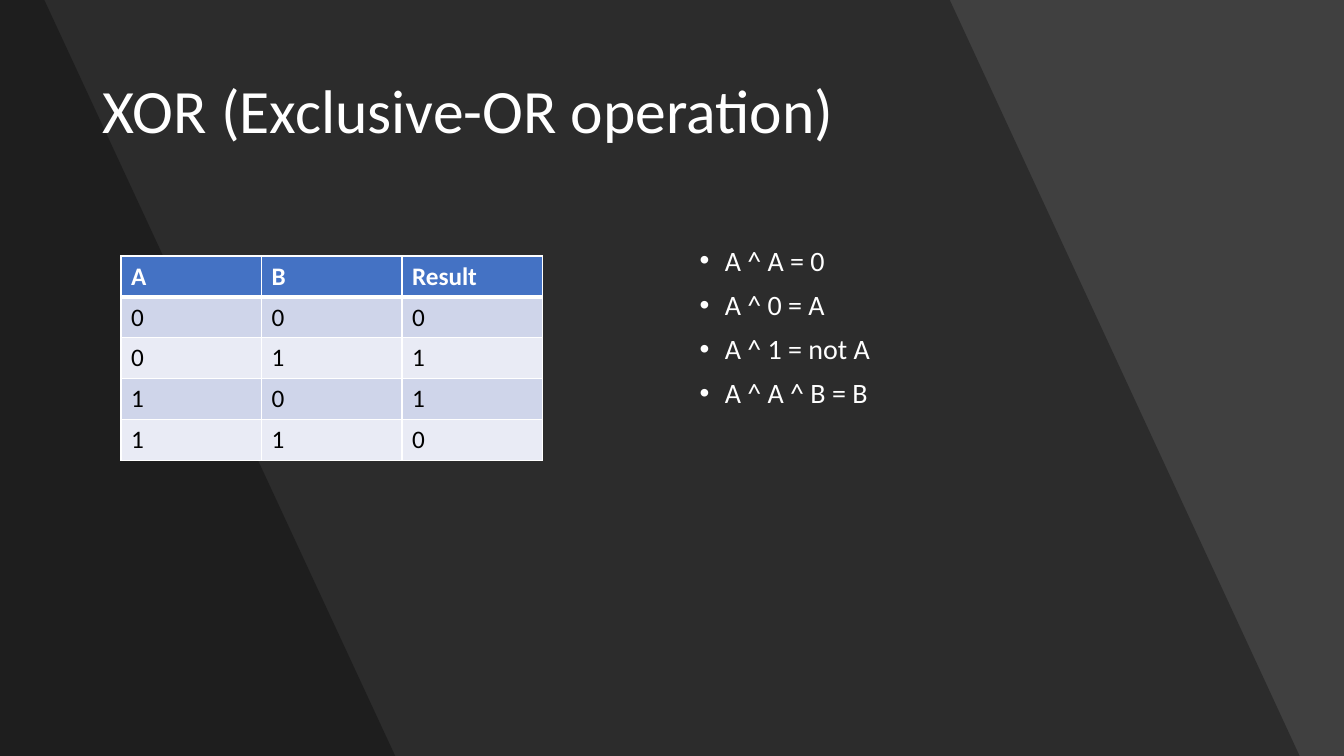
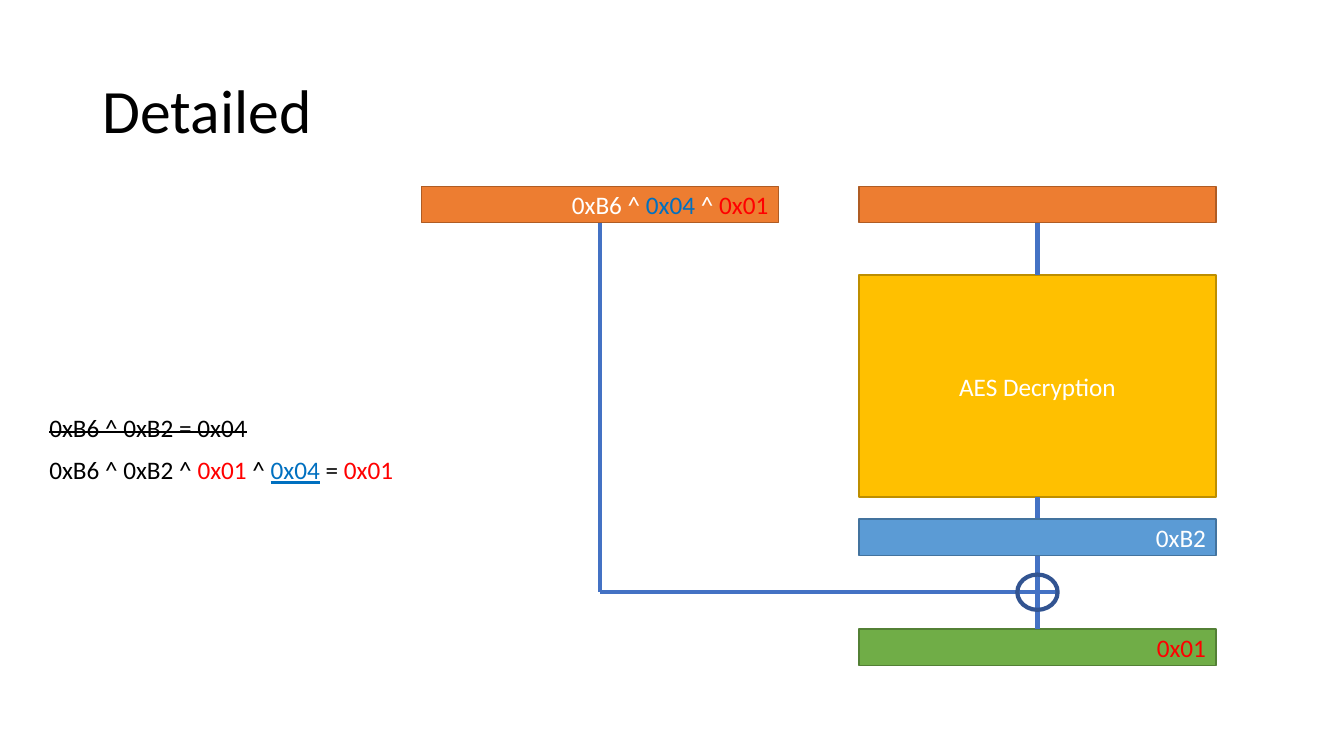
from lxml import etree
from pptx import Presentation
from pptx.dml.color import RGBColor
from pptx.enum.shapes import MSO_CONNECTOR, MSO_SHAPE
from pptx.enum.text import MSO_ANCHOR, MSO_AUTO_SIZE, PP_ALIGN
from pptx.oxml.ns import qn
from pptx.util import Inches, Pt

FONT = "Calibri"
WHITE = RGBColor(0xFF, 0xFF, 0xFF)
BLACK = RGBColor(0, 0, 0)
CHARCOAL = RGBColor(0x40, 0x40, 0x40)
RED = RGBColor(0xFF, 0, 0)
BLUE = RGBColor(0, 0x70, 0xC0)
WIRE = RGBColor(0x44, 0x72, 0xC4)
XOR_RING = RGBColor(0x32, 0x54, 0x91)
HEADER = WIRE
BANDS = (RGBColor(0xCF, 0xD5, 0xEA), RGBColor(0xE9, 0xEB, 0xF5))
# (fill, outline) pairs
ORANGE = (RGBColor(0xED, 0x7D, 0x31), RGBColor(0xAF, 0x5C, 0x24))
YELLOW = (RGBColor(0xFF, 0xC0, 0), RGBColor(0xBD, 0x8E, 0))
SKY = (RGBColor(0x5B, 0x9B, 0xD5), RGBColor(0x43, 0x73, 0x9E))
GREEN = (RGBColor(0x70, 0xAD, 0x47), RGBColor(0x53, 0x80, 0x35))

SLIDE_W, SLIDE_H = 13.33, 7.5
BAR_W, BAR_H = 3.54, 0.36
PREVIOUS_X, CURRENT_X = 4.18, 8.52
XOR_Y = 5.87


def add_sub(parent, tag, **attributes):
    return etree.SubElement(parent, qn(tag), attributes)


def add_runs(paragraph, runs, size=18):
    """Each run is (text, colour) or (text, colour, extra run attributes)."""
    for text, colour, *extras in runs:
        run = paragraph.add_run()
        run.text = text
        run.font.name = FONT
        run.font.size = Pt(size)
        run.font.color.rgb = colour
        for name, value in (extras[0] if extras else {}).items():
            run._r.get_or_add_rPr().set(name, value)


def add_textbox(slide, left, top, width, height, wrap=True):
    frame = slide.shapes.add_textbox(
        Inches(left), Inches(top), Inches(width), Inches(height)).text_frame
    frame.word_wrap = wrap
    return frame


def add_slide(prs, title, background, title_colour, bands=()):
    """Bands are (top width, bottom width) of the slanted shades at the left."""
    slide = prs.slides.add_slide(prs.slide_layouts[6])
    slide.background.fill.solid()
    slide.background.fill.fore_color.rgb = background
    for top_width, bottom_width in bands:
        add_band(slide, top_width, bottom_width)
    frame = add_textbox(slide, 0.92, 0.4, 11.5, 1.45)
    frame.vertical_anchor = MSO_ANCHOR.MIDDLE
    frame.paragraphs[0].line_spacing = 0.9
    add_runs(frame.paragraphs[0], [(title, title_colour)], size=44)
    return slide


def add_band(slide, top_width, bottom_width):
    outline = slide.shapes.build_freeform(0, 0)
    outline.add_line_segments([
        (Inches(top_width), 0),
        (Inches(bottom_width), Inches(SLIDE_H)),
        (0, Inches(SLIDE_H)),
    ])
    band = outline.convert_to_shape()
    band.shadow.inherit = False
    band.line.fill.background()
    band.fill.solid()
    band.fill.fore_color.rgb = BLACK
    colour = band._element.spPr.find(qn("a:solidFill"))[0]
    add_sub(colour, "a:alpha", val="30000")


def add_cell_borders(cell, bottom):
    properties = cell._tc.get_or_add_tcPr()
    for side, width in {"L": 1, "R": 1, "T": 1, "B": bottom}.items():
        line = add_sub(properties, f"a:ln{side}", w=str(Pt(width)))
        add_sub(add_sub(line, "a:solidFill"), "a:srgbClr", val=str(WHITE))


def add_truth_table(slide, rows):
    table = slide.shapes.add_table(
        len(rows), len(rows[0]), Inches(1.2), Inches(2.54),
        Inches(4.18), Inches(2.03)).table
    for r, row in enumerate(rows):
        heading = r == 0
        for c, value in enumerate(row):
            cell = table.cell(r, c)
            add_cell_borders(cell, bottom=3 if heading else 1)
            cell.fill.solid()
            cell.fill.fore_color.rgb = HEADER if heading else BANDS[(r - 1) % 2]
            add_runs(cell.text_frame.paragraphs[0], [
                (value, WHITE if heading else BLACK, {"b": str(int(heading))})])


def add_bullets(slide, lines):
    frame = add_textbox(slide, 6.84, 2.4, 5.57, 2.55)
    for i, line in enumerate(lines):
        paragraph = frame.add_paragraph() if i else frame.paragraphs[0]
        paragraph.line_spacing = 0.9
        paragraph.space_before = Pt(10)
        properties = paragraph._p.get_or_add_pPr()
        properties.set("marL", str(Inches(0.25)))
        properties.set("indent", str(-Inches(0.25)))
        add_sub(properties, "a:buFont", typeface="Arial")
        add_sub(properties, "a:buChar", char="•")
        add_runs(paragraph, [(line, WHITE)], size=20)


def add_block(slide, left, top, colours, runs=(), height=BAR_H,
              align=PP_ALIGN.RIGHT):
    block = slide.shapes.add_shape(
        MSO_SHAPE.RECTANGLE, Inches(left), Inches(top),
        Inches(BAR_W), Inches(height))
    block.shadow.inherit = False
    block.fill.solid()
    block.fill.fore_color.rgb, block.line.color.rgb = colours
    block.line.width = Pt(1)
    block.text_frame.vertical_anchor = MSO_ANCHOR.MIDDLE
    block.text_frame.paragraphs[0].alignment = align
    add_runs(block.text_frame.paragraphs[0], runs)
    return block


def add_wire(slide, start=(0, 0), end=(0, 0), above=None, below=None):
    """Run from start to end, or from the block above to the block below."""
    wire = slide.shapes.add_connector(
        MSO_CONNECTOR.STRAIGHT, *(Inches(v) for v in (*start, *end)))
    if above is not None:
        wire.begin_connect(above, 2)
    if below is not None:
        wire.end_connect(below, 0)
    wire.line.color.rgb = WIRE
    wire.line.width = Pt(3)
    add_sub(wire._element.spPr, "a:effectLst")


def add_xor_ring(slide, left, top, width, height):
    ring = slide.shapes.add_shape(
        MSO_SHAPE.OVAL, Inches(left), Inches(top), Inches(width), Inches(height))
    ring.shadow.inherit = False
    ring.fill.background()
    ring.line.color.rgb = XOR_RING
    ring.line.width = Pt(3)


def add_equation(slide, top, width, runs):
    frame = add_textbox(slide, 0.39, top, width, 0.4, wrap=False)
    frame.auto_size = MSO_AUTO_SIZE.SHAPE_TO_FIT_TEXT
    add_runs(frame.paragraphs[0], runs)


def build_xor_slide(prs):
    slide = add_slide(prs, "XOR (Exclusive-OR operation)", CHARCOAL, WHITE,
                      bands=[(9.42, 12.89), (0.44, 3.92)])
    outcomes = [(str(a), str(b), str(a ^ b)) for a in (0, 1) for b in (0, 1)]
    add_truth_table(slide, [("A", "B", "Result"), *outcomes])
    add_bullets(slide, ["A ^ A = 0", "A ^ 0 = A", "A ^ 1 = not A",
                        "A ^ A ^ B = B"])


def build_detail_slide(prs):
    slide = add_slide(prs, "Detailed", WHITE, BLACK)
    previous = add_block(slide, PREVIOUS_X, 1.85, ORANGE, [
        ("0xB6 ^ ", WHITE), ("0x04 ", BLUE), ("^ ", WHITE), ("0x01", RED)])
    decryption = add_block(slide, CURRENT_X, 2.73, YELLOW,
                           [("AES Decryption", WHITE)], 2.2, PP_ALIGN.CENTER)
    current = add_block(slide, CURRENT_X, 1.85, ORANGE)
    plain = add_block(slide, CURRENT_X, 6.24, GREEN, [("0x01", RED)])

    corner = (PREVIOUS_X + BAR_W / 2, XOR_Y)
    add_wire(slide, above=current, below=decryption)
    add_wire(slide, above=decryption, below=plain)
    add_wire(slide, end=corner, above=previous)
    add_wire(slide, corner, (10.5, XOR_Y))
    add_xor_ring(slide, 10.09, 5.7, 0.4, 0.35)
    add_block(slide, CURRENT_X, 5.15, SKY, [("0xB2", WHITE)])

    add_equation(slide, 4.04, 2.18, [
        ("0xB6 ^ 0xB2 = 0x04", BLACK, {"strike": "sngStrike"})])
    add_equation(slide, 4.46, 3.65, [
        ("0xB6 ^ 0xB2 ^ ", BLACK), ("0x01", RED), (" ^ ", BLACK),
        ("0x04", BLUE, {"u": "sng"}), (" = ", BLACK), ("0x01", RED)])


def main():
    prs = Presentation()
    prs.slide_width, prs.slide_height = Inches(SLIDE_W), Inches(SLIDE_H)
    build_xor_slide(prs)
    build_detail_slide(prs)
    prs.save("out.pptx")


if __name__ == "__main__":
    main()
